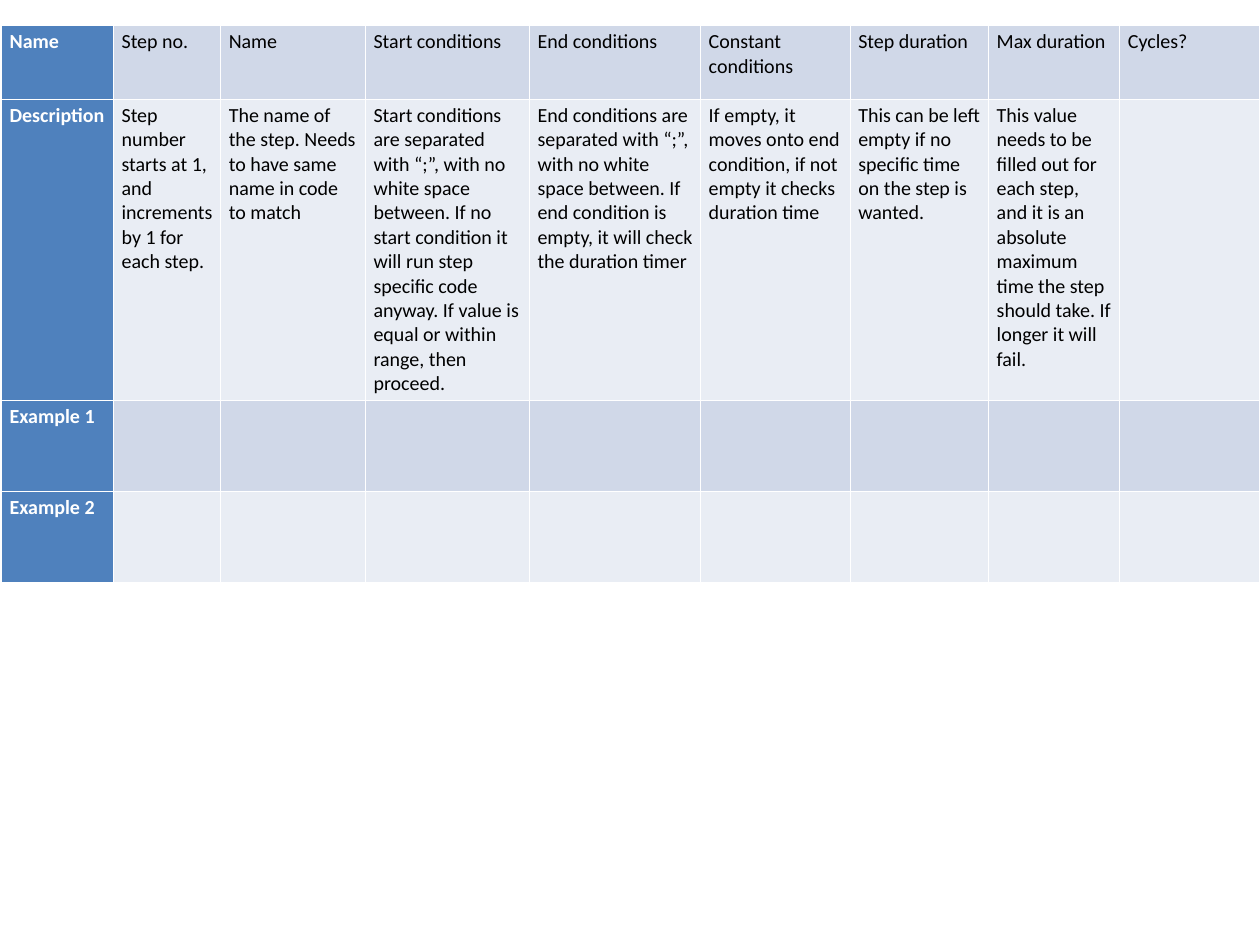
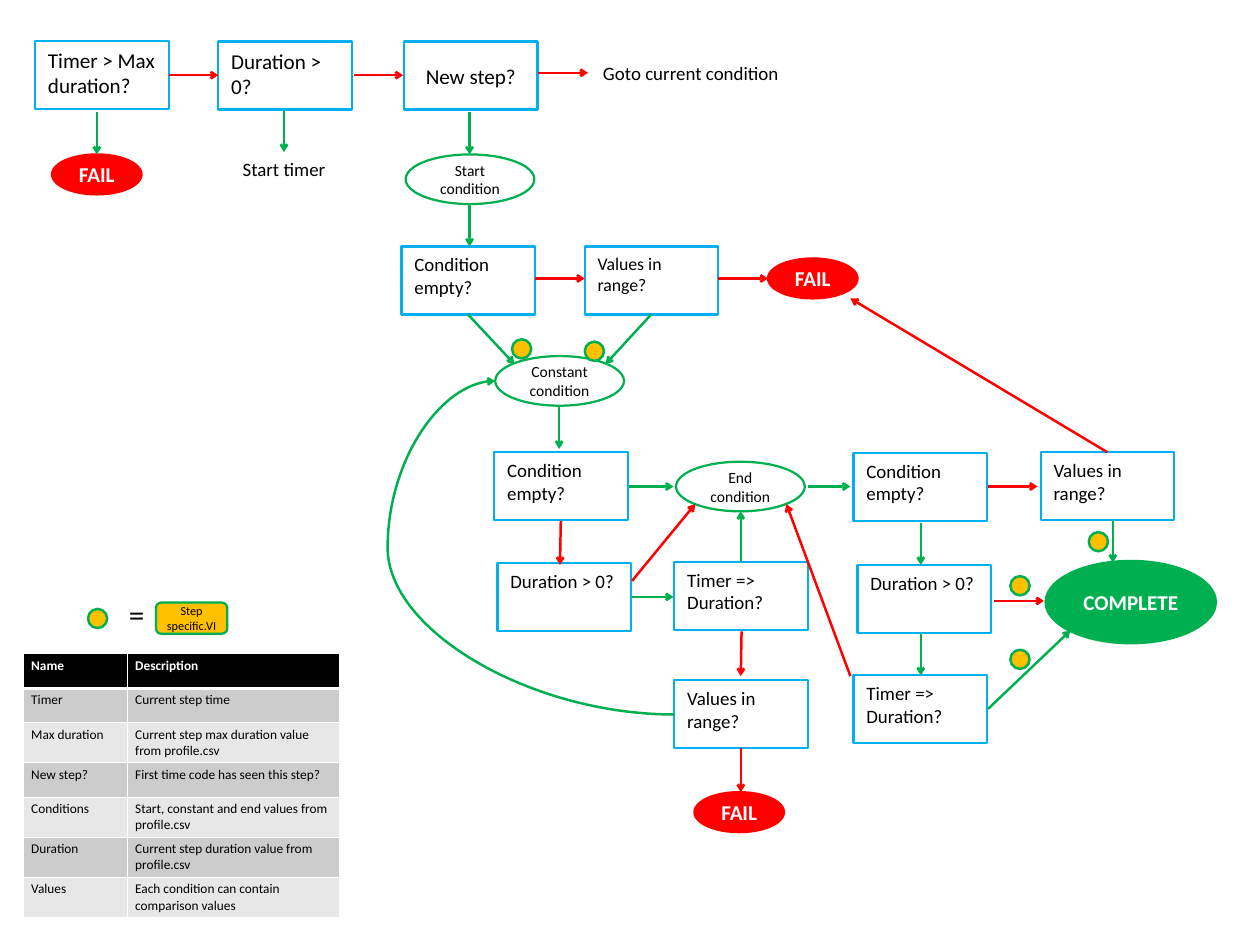
from lxml import etree
from pptx import Presentation
from pptx.dml.color import RGBColor
from pptx.enum.shapes import MSO_CONNECTOR, MSO_SHAPE
from pptx.enum.text import MSO_ANCHOR, PP_ALIGN
from pptx.oxml.ns import qn
from pptx.util import Inches, Pt

RECT, OVAL, ROUNDED = MSO_SHAPE.RECTANGLE, MSO_SHAPE.OVAL, MSO_SHAPE.ROUNDED_RECTANGLE
STRAIGHT, CURVE = MSO_CONNECTOR.STRAIGHT, MSO_CONNECTOR.CURVE
LEFT, CENTER = PP_ALIGN.LEFT, PP_ALIGN.CENTER
TOP, MIDDLE = MSO_ANCHOR.TOP, MSO_ANCHOR.MIDDLE

FONT = "Calibri"
COLORS = {
    "text": "000000", "white": "FFFFFF", "check": "00B0F0",
    "yes": "00B050", "no": "FF0000", "step_code": "FFC000",
    "profile_head": "4F81BD", "profile_odd": "D0D8E8", "profile_even": "E9EDF4",
    "term_head": "000000", "term_odd": "CCCCCC", "term_even": "E7E7E7",
}

PROFILE_WIDTHS = [1.4, 1.34, 1.81, 2.05, 2.14, 1.87, 1.73, 1.64, 1.75]
PROFILE_HEIGHTS = [0.92, 1.14, 1.14, 1.14]
PROFILE_ROWS = [
    ["Name", "Step no.", "Name", "Start conditions", "End conditions",
     "Constant conditions", "Step duration", "Max duration", "Cycles?"],
    ["Description",
     "Step number starts at 1, and increments by 1 for each step.",
     "The name of the step. Needs to have same name in code to match",
     "Start conditions are separated with “;”, with no white space between. "
     "If no start condition it will run step specific code anyway. "
     "If value is equal or within range, then proceed.",
     "End conditions are separated with “;”, with no white space between. "
     "If end condition is empty, it will check the duration timer",
     "If empty, it moves onto end condition, if not empty it checks duration time",
     "This can be left empty if no specific time on the step is wanted.",
     "This value needs to be filled out for each step, and it is an absolute "
     "maximum time the step should take. If longer it will fail.",
     ""],
    ["Example 1"] + [""] * 8,
    ["Example 2"] + [""] * 8,
]

TERM_WIDTHS = [1.3, 2.65]
TERM_ROWS = [
    ["Name", "Description"],
    ["Timer", "Current step time"],
    ["Max duration", "Current step max duration value from profile.csv"],
    ["New step?", "First time code has seen this step?"],
    ["Conditions", "Start, constant and end values from profile.csv"],
    ["Duration", "Current step duration value from profile.csv"],
    ["Values", "Each condition can contain comparison values"],
]

CHECK_SIZE = (1.67, 0.85)
CHECKS = [
    ("Timer > Max duration?", 0.44, 0.51, 19),
    ("Duration > 0?", 2.73, 0.52, 19),
    ("Condition empty?", 5.02, 3.08, 17),
    ("Values in range?", 7.31, 3.08, 16),
    ("Condition empty?", 6.18, 5.65, 17),
    ("Duration > 0?", 6.22, 7.04, 17),
    ("Timer => Duration?", 8.43, 7.02, 17),
    ("Values in range?", 8.43, 8.5, 17),
    ("Condition empty?", 10.67, 5.66, 17),
    ("Values in range?", 13.01, 5.65, 17),
    ("Duration > 0?", 10.72, 7.06, 17),
    ("Timer => Duration?", 10.67, 8.44, 17),
]
NEW_STEP = ("New step?", 5.05, 0.52, 19)

PHASE_SIZE = (1.61, 0.62)
PHASES = [("Start", 5.07, 1.93), ("Constant", 6.19, 4.45), ("End", 8.45, 5.77)]

FAIL_SIZE = (1.12, 0.5)
FAILS = [(0.65, 1.93), (9.6, 3.23), (8.68, 9.9)]
COMPLETE_AREA = (13.07, 7.01, 2.13, 1.03)

NOTES = [
    ("Goto current condition", (7.35, 0.69, 2.57, 0.45), 17),
    ("Start timer", (2.86, 1.89, 1.38, 0.45), 17),
    ("=", (1.45, 7.36, 0.4, 0.57), 28),
]

ARROWS = {
    "yes": [
        (1.21, 1.4, 1.21, 1.93), (3.55, 1.37, 3.55, 1.9), (5.87, 1.4, 5.87, 1.93),
        (5.87, 2.55, 5.87, 3.08), (5.85, 3.93, 6.43, 4.55), (8.14, 3.93, 7.57, 4.55),
        (6.99, 5.07, 6.99, 5.61), (7.86, 6.08, 8.42, 6.08), (7.9, 7.46, 8.42, 7.46),
        (9.26, 7.02, 9.26, 6.39), (10.1, 6.08, 10.63, 6.08), (13.91, 6.5, 13.91, 7.03),
        (11.51, 6.53, 11.51, 7.06), (11.51, 7.91, 11.51, 8.44), (12.35, 8.86, 13.38, 7.88),
    ],
    "no": [
        (2.11, 0.94, 2.73, 0.94), (4.42, 0.94, 5.04, 0.94), (6.73, 0.91, 7.35, 0.91),
        (6.69, 3.48, 7.31, 3.48), (8.98, 3.48, 9.6, 3.48), (7.01, 6.51, 7, 7.06),
        (7.9, 7.26, 8.69, 6.3), (9.27, 7.89, 9.26, 8.45), (9.26, 9.35, 9.26, 9.9),
        (13.84, 5.65, 10.63, 3.73), (12.35, 6.08, 12.97, 6.08), (10.63, 8.45, 9.83, 6.3),
        (12.43, 7.51, 13.05, 7.51),
    ],
}
RETRY_LOOP = (8.43, 8.93, 6.19, 4.76)
RETRY_BEND = 160000

DOT = 0.24
STEP_DOTS = [(6.4, 4.24), (7.31, 4.27), (1.1, 7.61), (13.61, 6.65), (12.63, 8.12), (12.63, 7.2)]
STEP_KEY_AREA = (1.95, 7.53, 0.89, 0.39)


def rgb(name):
    return RGBColor.from_string(COLORS[name])


def inches(values):
    return [Inches(value) for value in values]


def write(frame, lines, size, color="text", bold=False, align=LEFT):
    for index, line in enumerate(lines):
        paragraph = frame.add_paragraph() if index else frame.paragraphs[0]
        paragraph.alignment = align
        run = paragraph.add_run()
        run.text = line
        run.font.name = FONT
        run.font.size = Pt(size)
        run.font.bold = bold
        run.font.color.rgb = rgb(color)


def pad(frame):
    frame.margin_left = frame.margin_right = Inches(0.16)
    frame.margin_top = frame.margin_bottom = Inches(0.08)


def add_node(slide, kind, area, line, fill=None, width=2):
    node = slide.shapes.add_shape(kind, *inches(area))
    node.shadow.inherit = False
    node.line.color.rgb = rgb(line)
    node.line.width = Pt(width)
    if fill:
        node.fill.solid()
        node.fill.fore_color.rgb = rgb(fill)
    else:
        node.fill.background()
    return node


def add_check(slide, check, align=LEFT, anchor=TOP):
    question, left, top, size = check
    frame = add_node(slide, RECT, (left, top, *CHECK_SIZE), "check").text_frame
    frame.word_wrap = True
    frame.vertical_anchor = anchor
    pad(frame)
    write(frame, [question], size, align=align)


def add_oval(slide, lines, area, line, size, color, fill=None, bold=False):
    frame = add_node(slide, OVAL, area, line, fill).text_frame
    frame.word_wrap = False
    frame.vertical_anchor = MIDDLE
    pad(frame)
    write(frame, lines, size, color, bold, CENTER)


def add_arrow(slide, ends, color, kind=STRAIGHT):
    arrow = slide.shapes.add_connector(kind, *inches(ends))
    arrow.line.color.rgb = rgb(color)
    arrow.line.width = Pt(2.25)
    etree.SubElement(arrow.line._get_or_add_ln(), qn("a:tailEnd"), type="arrow")
    etree.SubElement(arrow._element.spPr, qn("a:effectLst"))
    return arrow


def add_borders(cell, widths):
    properties = cell._tc.get_or_add_tcPr()
    for index, (side, width) in enumerate(widths.items()):
        border = etree.Element(qn(f"a:{side}"), w=str(Pt(width)))
        solid = etree.SubElement(border, qn("a:solidFill"))
        etree.SubElement(solid, qn("a:srgbClr"), val=COLORS["white"])
        properties.insert(index, border)


def add_grid(slide, rows, corner, widths, heights, size, palette, is_head, head_rule=1):
    area = (*corner, sum(widths), sum(heights))
    table = slide.shapes.add_table(len(rows), len(widths), *inches(area)).table
    table.first_row = table.horz_banding = False
    for column, width in zip(table.columns, widths):
        column.width = Inches(width)
    for r, texts in enumerate(rows):
        table.rows[r].height = Inches(heights[r])
        for c, text in enumerate(texts):
            cell = table.cell(r, c)
            head = is_head(r, c)
            cell.fill.solid()
            cell.fill.fore_color.rgb = rgb(f"{palette}_{'head' if head else band(r, palette)}")
            add_borders(cell, {"lnL": 1, "lnR": 1, "lnT": head_rule if r == 1 else 1,
                               "lnB": head_rule if r == 0 else 1})
            if text:
                write(cell.text_frame, [text], size, "white" if head else "text", head)


def band(row, palette):
    first = 0 if palette == "profile" else 1
    return "odd" if (row - first) % 2 == 0 else "even"


def build_profile(slide):
    add_grid(slide, PROFILE_ROWS, (0.02, 0.32), PROFILE_WIDTHS, PROFILE_HEIGHTS, 18,
             "profile", lambda r, c: c == 0)


def build_flow(slide):
    for check in CHECKS:
        add_check(slide, check)
    add_check(slide, NEW_STEP, CENTER, MIDDLE)
    for phase, left, top in PHASES:
        add_oval(slide, [phase, "condition"], (left, top, *PHASE_SIZE), "yes", 14, "text")
    for corner in FAILS:
        add_oval(slide, ["FAIL"], (*corner, *FAIL_SIZE), "no", 19, "white", "no", True)
    add_oval(slide, ["COMPLETE"], COMPLETE_AREA, "yes", 19, "white", "yes", True)

    for text, area, size in NOTES:
        frame = slide.shapes.add_textbox(*inches(area)).text_frame
        frame.word_wrap = False
        pad(frame)
        write(frame, [text], size, align=CENTER)

    for answer, routes in ARROWS.items():
        for ends in routes:
            add_arrow(slide, ends, answer)
    loop = add_arrow(slide, RETRY_LOOP, "yes", CURVE)
    bends = loop._element.spPr.find(qn("a:prstGeom")).find(qn("a:avLst"))
    etree.SubElement(bends, qn("a:gd"), name="adj1", fmla=f"val {RETRY_BEND}")

    add_grid(slide, TERM_ROWS, (0.29, 8.17), TERM_WIDTHS, [0.43] * len(TERM_ROWS), 12,
             "term", lambda r, c: r == 0, 3)
    key = add_node(slide, ROUNDED, STEP_KEY_AREA, "yes", "step_code").text_frame
    key.word_wrap = True
    key.vertical_anchor = MIDDLE
    write(key, ["Step specific.VI"], 11, align=CENTER)
    for corner in STEP_DOTS:
        add_node(slide, OVAL, (*corner, DOT, DOT), "yes", "step_code", 2.25)


def main():
    deck = Presentation()
    deck.slide_width, deck.slide_height = inches((15.75, 11.81))
    blank = deck.slide_layouts[6]
    for build in (build_profile, build_flow):
        build(deck.slides.add_slide(blank))
    deck.save("out.pptx")


if __name__ == "__main__":
    main()
